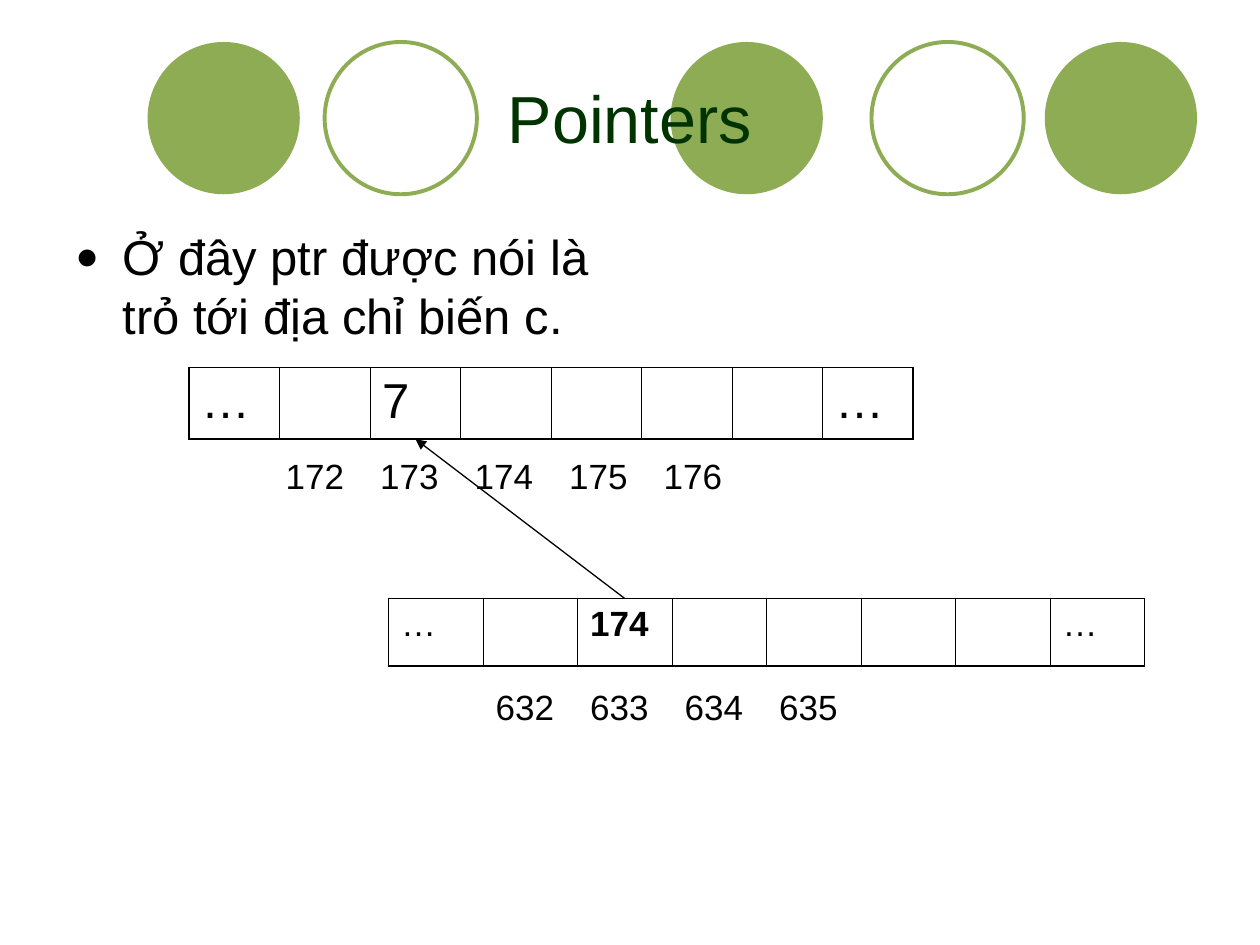
from lxml.etree import SubElement
from pptx import Presentation
from pptx.dml.color import RGBColor
from pptx.enum.shapes import MSO_CONNECTOR as Connector, MSO_SHAPE as Shape
from pptx.enum.text import MSO_ANCHOR as Anchor, PP_ALIGN as Align
from pptx.oxml.ns import qn
from pptx.util import Pt

FONT = "Arial"
GREEN, DARK_GREEN, BLACK = "8DAC54", "003300", "000000"
PLAIN_TABLE_STYLE = "{2D5ABB26-0587-4C30-8999-92F81FD0307C}"
COLUMNS = 8
OUTER, INNER = 1.08, 0.45  # cell border widths


def color(hex_code):
    return RGBColor.from_string(hex_code)


def style_paragraph(paragraph, size, hex_code=BLACK, bold=False, before=0):
    font = paragraph.font
    font.name, font.size, font.bold = FONT, Pt(size), bold
    font.color.rgb = color(hex_code)
    paragraph.space_before = Pt(before)


def add_circle(slide, left, filled):
    circle = slide.shapes.add_shape(Shape.OVAL, Pt(left), Pt(24), Pt(87), Pt(87))
    circle.shadow.inherit = False
    if filled:
        circle.fill.solid()
        circle.fill.fore_color.rgb = color(GREEN)
        circle.line.fill.background()
    else:
        circle.fill.background()
        circle.line.color.rgb = color(GREEN)
        circle.line.width = Pt(2.25)


def add_text(slide, text, left, top, width, height, anchor):
    frame = slide.shapes.add_textbox(Pt(left), Pt(top), Pt(width), Pt(height)).text_frame
    frame.word_wrap = True
    frame.vertical_anchor = anchor
    frame.text = text
    return frame.paragraphs[0]


def add_bullet(paragraph, indent):
    props = paragraph._p.get_or_add_pPr()
    props.set("marL", str(Pt(indent)))
    props.set("indent", str(-Pt(indent)))
    SubElement(props, qn("a:buSzPct"), val="80000")
    SubElement(props, qn("a:buFont"), typeface=FONT)
    SubElement(props, qn("a:buChar"), char="●")


def add_border(cell, side, width):
    border = SubElement(cell._tc.get_or_add_tcPr(), qn("a:ln" + side), w=str(Pt(width)))
    fill = SubElement(border, qn("a:solidFill"))
    SubElement(fill, qn("a:srgbClr"), val=BLACK)


def add_memory_row(slide, values, left, top, column_width, height, size, before,
                   bordered=False, bold_column=None):
    """Draw one row of memory cells; values maps a column to its text."""
    table = slide.shapes.add_table(1, COLUMNS, Pt(left), Pt(top),
                                   Pt(column_width * COLUMNS), Pt(height)).table
    table.first_row = table.horz_banding = False
    table._tbl.tblPr.find(qn("a:tableStyleId")).text = PLAIN_TABLE_STYLE
    for column in range(COLUMNS):
        table.columns[column].width = Pt(column_width)
        cell = table.cell(0, column)
        if bordered:
            add_border(cell, "L", OUTER if column == 0 else INNER)
            add_border(cell, "R", OUTER if column == COLUMNS - 1 else INNER)
            add_border(cell, "T", OUTER)
            add_border(cell, "B", OUTER)
        cell.fill.background()
        cell.text = values.get(column, "")
        style_paragraph(cell.text_frame.paragraphs[0], size,
                        bold=column == bold_column, before=before)


def add_arrow(slide, start, end):
    arrow = slide.shapes.add_connector(Connector.STRAIGHT, *map(Pt, start + end))
    arrow.line.color.rgb = color(BLACK)
    arrow.line.width = Pt(0.75)
    SubElement(arrow.line._get_or_add_ln(), qn("a:tailEnd"), type="triangle")
    SubElement(arrow._element.spPr, qn("a:effectLst"))


def main():
    deck = Presentation()
    deck.slide_width, deck.slide_height = Pt(720), Pt(540)
    slide = deck.slides.add_slide(deck.slide_layouts[6])

    # Row of decorative circles
    for left, filled in ((84.3, True), (185.5, False), (383.2, True),
                         (498, False), (597, True)):
        add_circle(slide, left, filled)

    # Title and statement
    title = add_text(slide, "Pointers", 36, 21.6, 648, 90, Anchor.MIDDLE)
    title.alignment = Align.CENTER
    style_paragraph(title, 38, DARK_GREEN)
    statement = add_text(slide, "Ở đây ptr được nói là trỏ tới địa chỉ biến c.",
                         36, 126, 318, 356, Anchor.TOP)
    style_paragraph(statement, 28, before=7)
    add_bullet(statement, 27)

    # Memory holding variable c, with its addresses
    add_memory_row(slide, {0: "…", 2: "7", 7: "…"}, 108, 210, 51.75, 41, 28, 7,
                   bordered=True)
    c_addresses = {column: str(171 + column) for column in range(1, 6)}
    add_memory_row(slide, c_addresses, 102, 258, 54, 41, 20, 5)

    # Memory holding ptr, with its addresses
    add_memory_row(slide, {0: "…", 2: "174", 7: "…"}, 222, 342, 54, 38.5, 20, 5,
                   bordered=True, bold_column=2)
    ptr_addresses = {column: str(631 + column) for column in range(1, 5)}
    add_memory_row(slide, ptr_addresses, 222, 390, 54, 38.5, 20, 5)

    # Pointer from ptr to c
    add_arrow(slide, (357, 342), (237.5, 251))

    deck.save("out.pptx")


if __name__ == "__main__":
    main()
